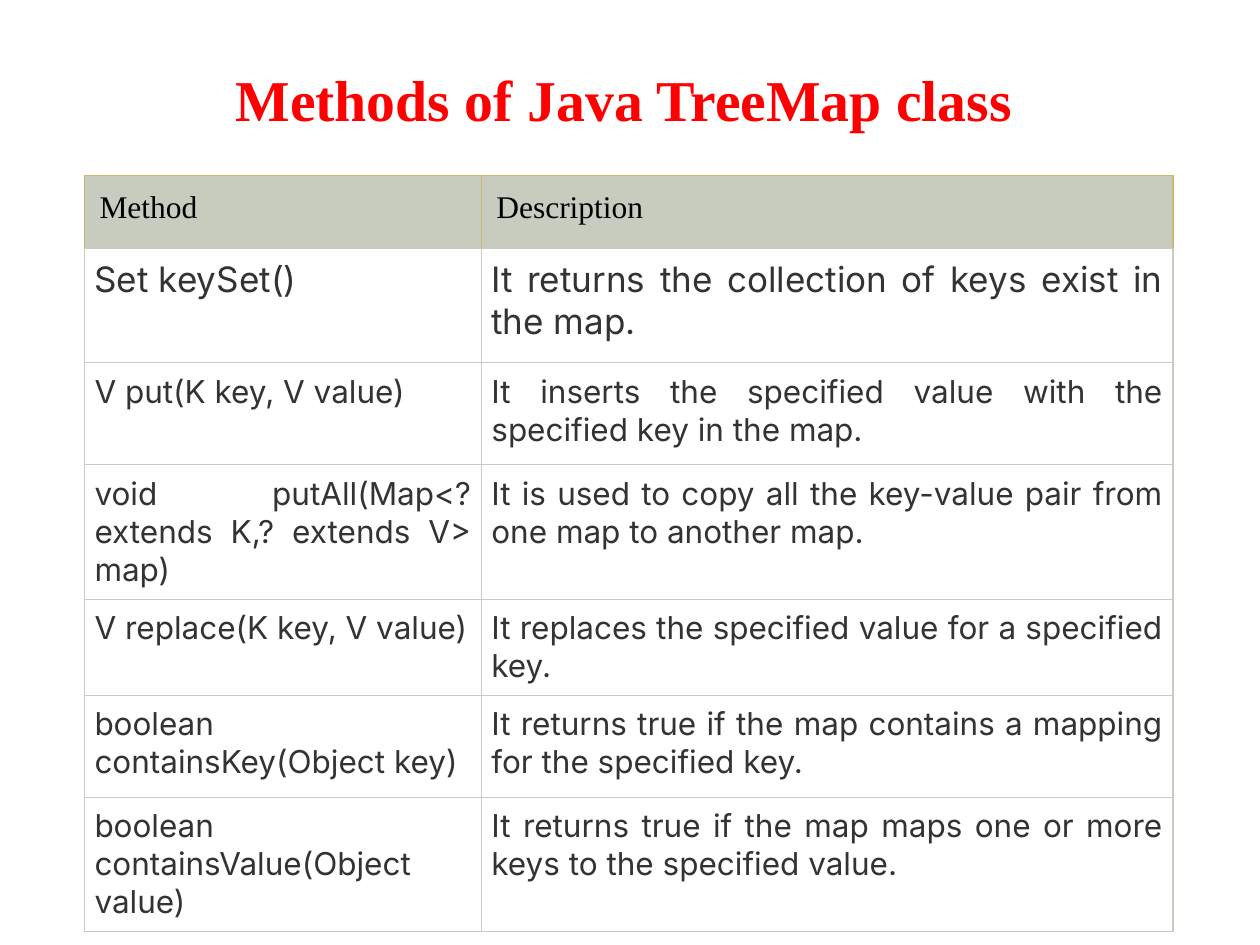
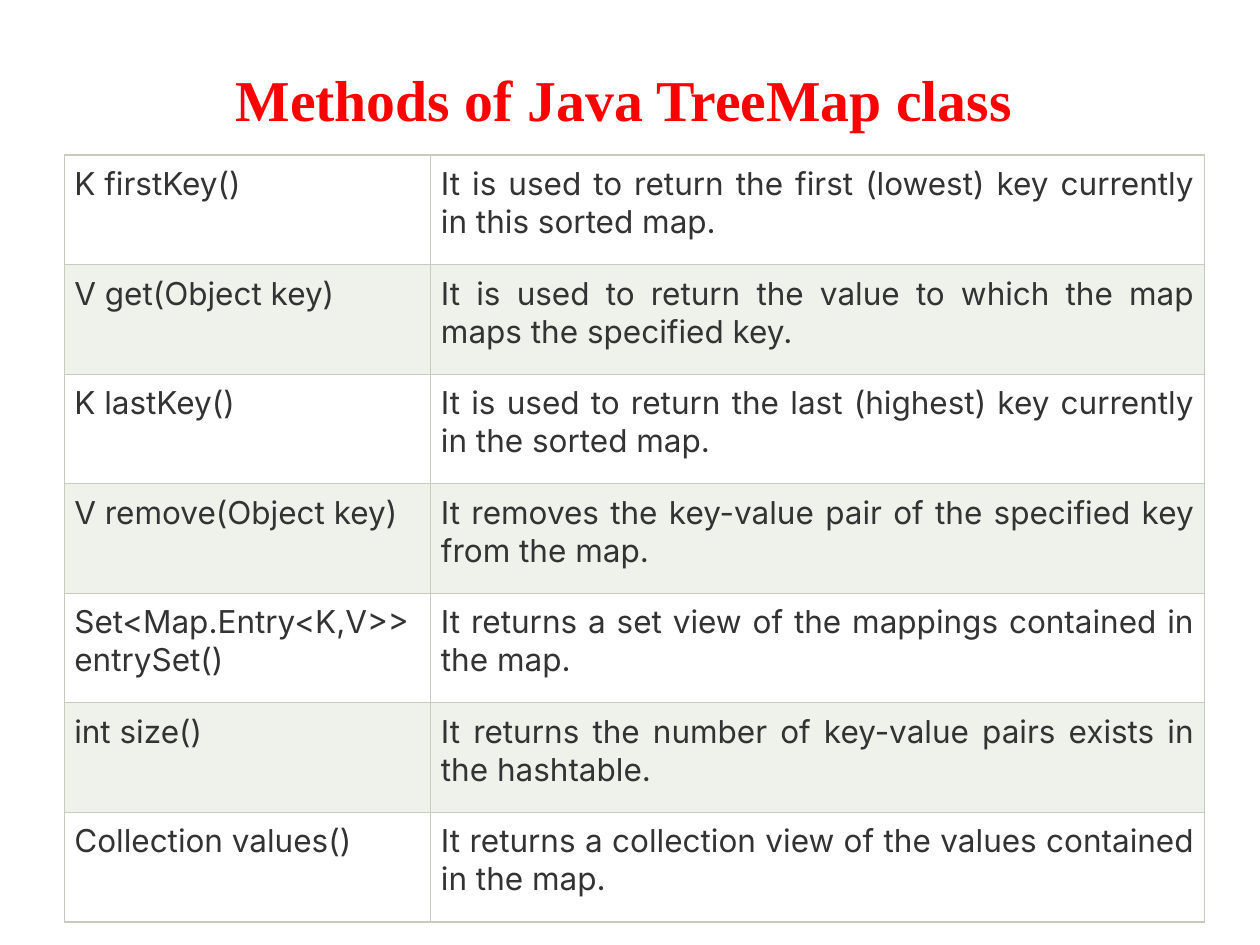
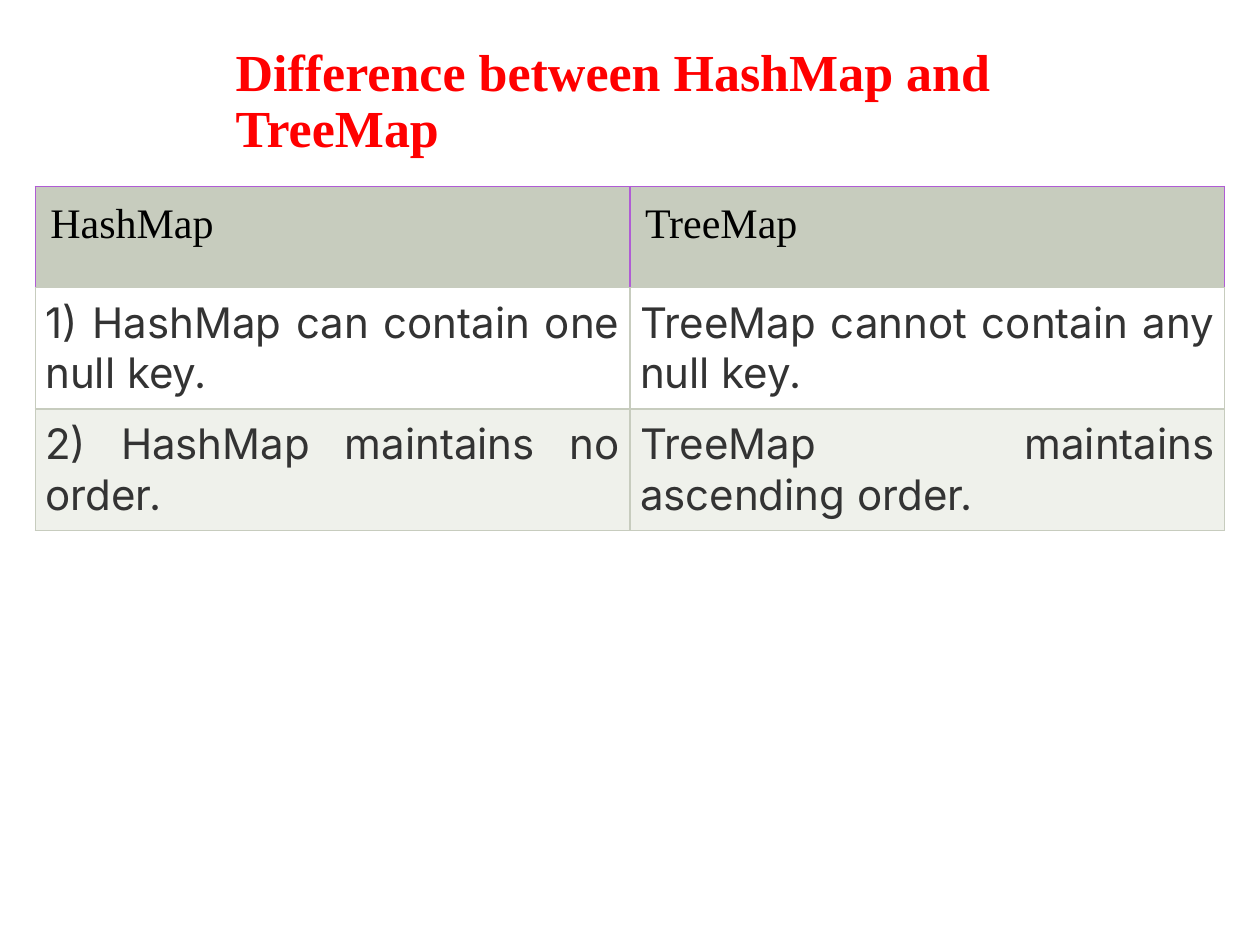
"""Build three slides on the methods of TreeMap and how it differs from HashMap."""
from pptx import Presentation
from pptx.dml.color import RGBColor
from pptx.enum.text import MSO_ANCHOR, MSO_AUTO_SIZE, PP_ALIGN
from pptx.oxml import parse_xml
from pptx.oxml.ns import nsdecls
from pptx.util import Inches, Pt

COLOURS = {
    "title": "FF0000", "header_text": "000000", "body_text": "333333",
    "header": "C7CCBE", "plain": "FFFFFF", "band": "EFF1EB",
    "grid": "C7CCBE", "gold": "D0B672", "purple": "B05CD5",
}
TITLE_FONT, BODY_FONT = "Times New Roman", "Inter"
METHODS_TITLE = "Methods of Java TreeMap class"

SLIDES = [
    {
        "title": METHODS_TITLE, "title_size": 33, "text_size": 18,
        "corner": (0.67, 1.39), "columns": (3.15, 5.49),
        "rows": (0.58, 0.91, 0.81, 0.81, 0.5, 0.81, 0.81),
        "header_edge": "gold", "banded": False, "row_sizes": {1: 20},
        "cells": [
            ("Method", "Description"),
            ("Set keySet()", "It returns the collection of keys exist in the map."),
            ("V put(K key, V value)",
             "It inserts the specified value with the specified key in the map."),
            ("void putAll(Map<? extends K,? extends V> map)",
             "It is used to copy all the key-value pair from one map to another map."),
            ("V replace(K key, V value)",
             "It replaces the specified value for a specified key."),
            ("boolean containsKey(Object key)",
             "It returns true if the map contains a mapping for the specified key."),
            ("boolean containsValue(Object value)",
             "It returns true if the map maps one or more keys to the specified value."),
        ],
    },
    {
        "title": METHODS_TITLE, "title_size": 33, "text_size": 18,
        "corner": (0.51, 1.23), "columns": (2.91, 6.14), "rows": (0.87,) * 7,
        "header_edge": None, "banded": True, "row_sizes": {},
        "cells": [
            ("K firstKey()",
             "It is used to return the first (lowest) key currently in this sorted map."),
            ("V get(Object key)",
             "It is used to return the value to which the map maps the specified key."),
            ("K lastKey()",
             "It is used to return the last (highest) key currently in the sorted map."),
            ("V remove(Object key)",
             "It removes the key-value pair of the specified key from the map."),
            ("Set<Map.Entry<K,V>> entrySet()",
             "It returns a set view of the mappings contained in the map."),
            ("int size()",
             "It returns the number of key-value pairs exists in the hashtable."),
            ("Collection values()",
             "It returns a collection view of the values contained in the map."),
        ],
    },
    {
        "title": "Difference between HashMap and TreeMap",
        "title_size": 29.7, "text_size": 24,
        "corner": (0.28, 1.48), "columns": (4.72, 4.72), "rows": (0.8, 0.66, 0.66),
        "header_edge": "purple", "banded": True, "row_sizes": {},
        "cells": [
            ("HashMap", "TreeMap"),
            ("1) HashMap can contain one null key.", "TreeMap cannot contain any null key."),
            ("2) HashMap maintains no order.", "TreeMap maintains ascending order."),
        ],
    },
]


def style_text(paragraph, name, size, colour, bold=False):
    font = paragraph.font
    font.name, font.size, font.bold = name, Pt(size), bold
    font.color.rgb = RGBColor.from_string(COLOURS[colour])


def style_cell(cell, fill, edge, inset):
    properties = cell._tc.get_or_add_tcPr()
    for side in "LRTB":
        colour = COLOURS["grid" if side == "B" else edge]
        properties.append(parse_xml(
            f'<a:ln{side} {nsdecls("a")} w="{Pt(0.75)}"><a:solidFill>'
            f'<a:srgbClr val="{colour}"/></a:solidFill></a:ln{side}>'))
    cell.fill.solid()
    cell.fill.fore_color.rgb = RGBColor.from_string(COLOURS[fill])
    cell.margin_left = cell.margin_right = Inches(inset)
    cell.margin_top = cell.margin_bottom = Inches(inset)


deck = Presentation()
deck.slide_width, deck.slide_height = Inches(10), Inches(7.5)
title_only = deck.slide_layouts[5]

for content in SLIDES:
    page = deck.slides.add_slide(title_only)
    title = page.shapes.title
    title.left, title.top = Inches(1.77), Inches(0.4)
    title.width, title.height = Inches(7.54), Inches(0.83)
    frame = title.text_frame
    frame.text = content["title"]
    frame.word_wrap, frame.auto_size = True, MSO_AUTO_SIZE.NONE
    frame.vertical_anchor = MSO_ANCHOR.MIDDLE
    heading = frame.paragraphs[0]
    heading.alignment, heading.line_spacing = PP_ALIGN.LEFT, 0.9
    style_text(heading, TITLE_FONT, content["title_size"], "title", bold=True)

    left, top = content["corner"]
    columns, rows = content["columns"], content["rows"]
    table = page.shapes.add_table(
        len(rows), len(columns), Inches(left), Inches(top),
        Inches(sum(columns)), Inches(sum(rows))).table
    table.first_row = table.horz_banding = False
    for column, width in zip(table.columns, columns):
        column.width = Inches(width)
    for row, height in zip(table.rows, rows):
        row.height = Inches(height)

    for row_number, texts in enumerate(content["cells"]):
        is_header = content["header_edge"] and row_number == 0
        size = content["row_sizes"].get(row_number, content["text_size"])
        fill = "band" if content["banded"] and (
            row_number % 2 == (0 if content["header_edge"] else 1)) else "plain"
        for column_number, text in enumerate(texts):
            cell = table.cell(row_number, column_number)
            cell.text = text
            paragraph = cell.text_frame.paragraphs[0]
            if is_header:
                style_cell(cell, "header", content["header_edge"], 0.12)
                style_text(paragraph, TITLE_FONT, size, "header_text")
            else:
                style_cell(cell, fill, "grid", 0.08)
                paragraph.alignment = PP_ALIGN.JUSTIFY
                style_text(paragraph, BODY_FONT, size, "body_text")

deck.save("out.pptx")
